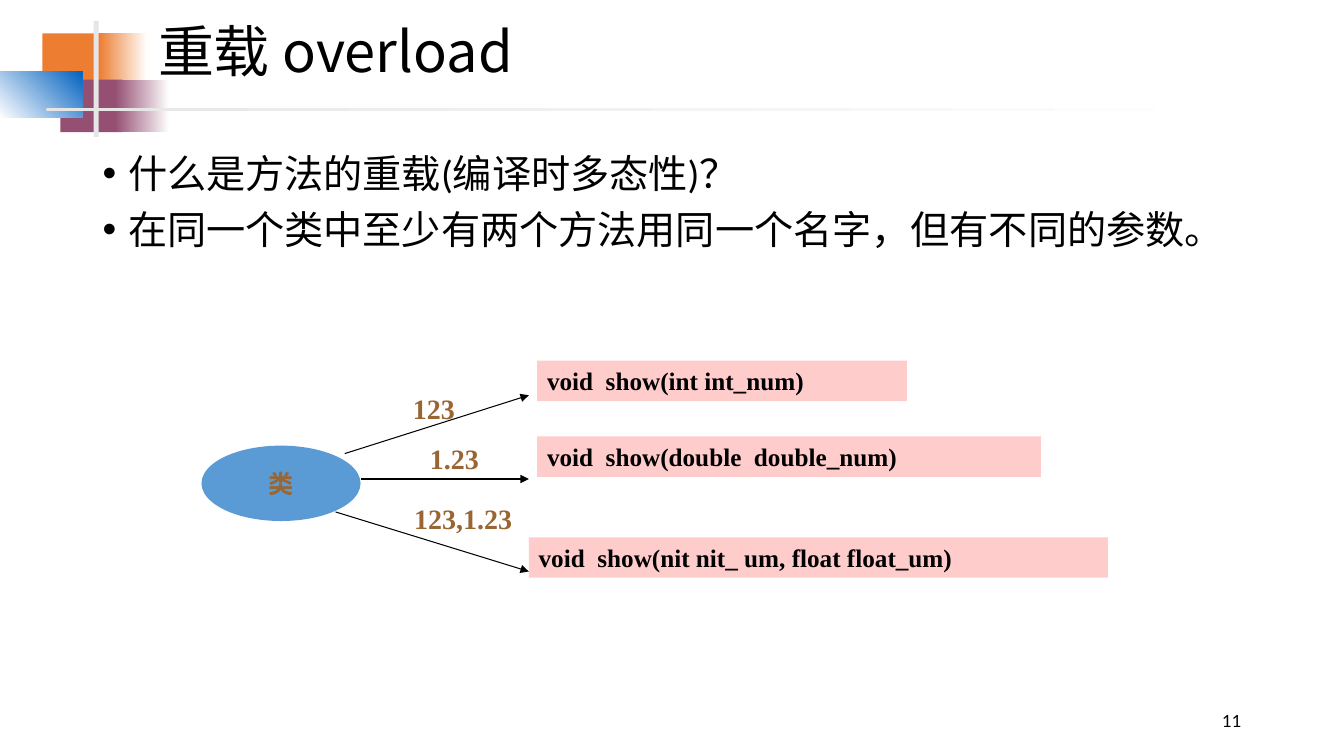
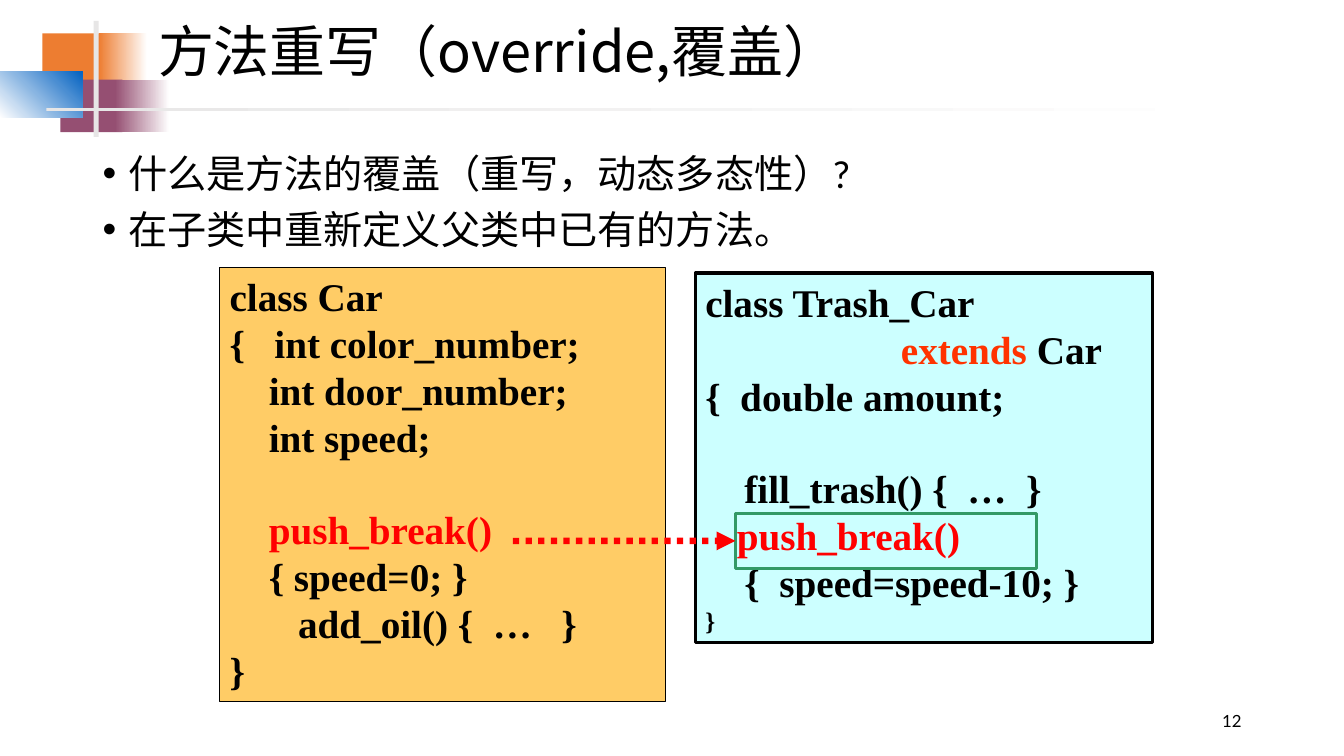
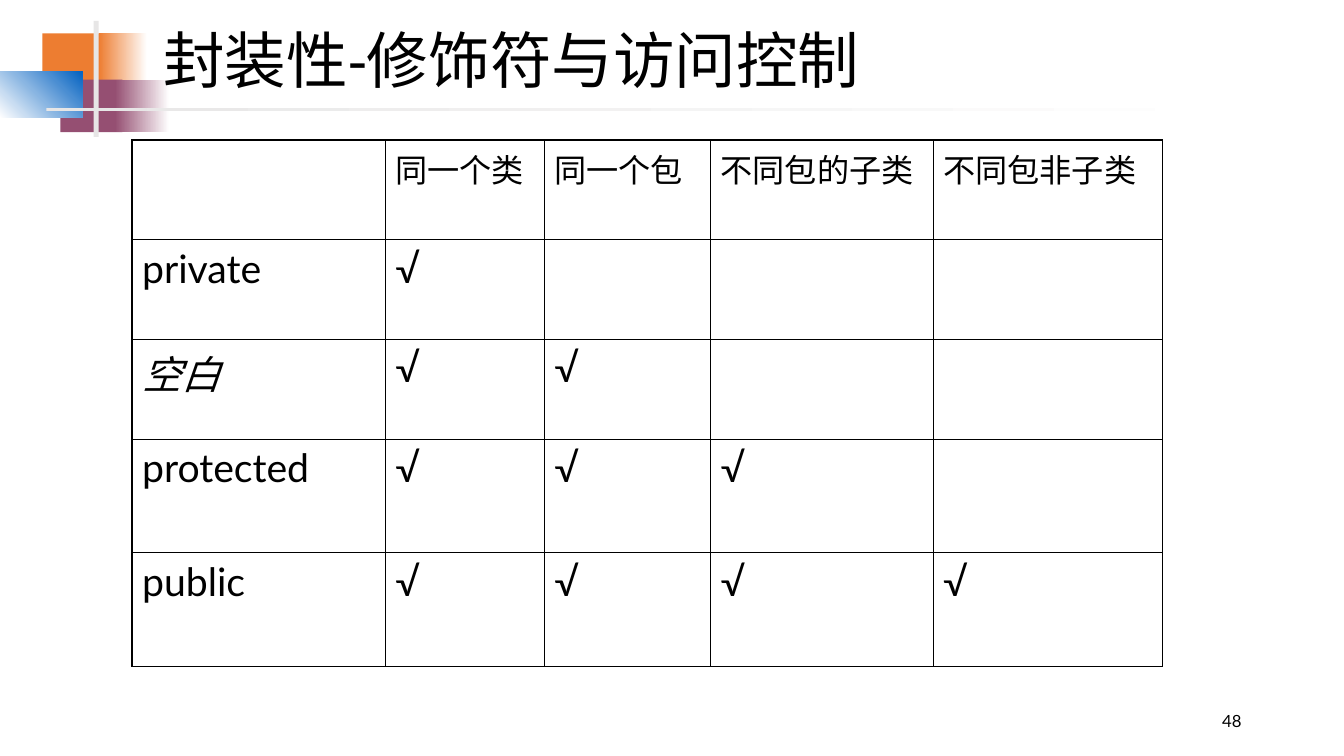
from dataclasses import dataclass
from typing import Optional

from lxml.etree import SubElement
from pptx import Presentation
from pptx.dml.color import RGBColor
from pptx.enum.dml import MSO_LINE
from pptx.enum.shapes import MSO_CONNECTOR, MSO_SHAPE
from pptx.enum.text import MSO_ANCHOR, MSO_AUTO_SIZE, PP_ALIGN
from pptx.oxml import parse_xml
from pptx.oxml.ns import nsdecls, qn
from pptx.util import Cm, Pt

HEX = {
    "black": "000000", "white": "FFFFFF", "orange": "ED7D31", "plum": "954F72",
    "navy": "0563C1", "grey": "E7E6E6", "blue": "5B9BD5", "brown": "996633",
    "pink": "FFCCCC", "sand": "FFCC66", "ice": "CCFFFF", "red": "FF0000",
    "flame": "FF3300", "green": "339966",
}
SERIF, SANS, LATO, CJK = "Times New Roman", "Calibri", "Lato", "Noto Sans CJK JP"


@dataclass
class Box:
    x: float
    y: float
    w: float
    h: float

    def cm(self) -> tuple:
        return Cm(self.x), Cm(self.y), Cm(self.w), Cm(self.h)


@dataclass
class Band:
    box: Box
    fill: str
    to: Optional[str] = None
    angle: float = 0


@dataclass
class Style:
    face: str
    size: float
    color: str = "black"
    bold: bool = False
    slant: bool = False


@dataclass
class Bit:
    text: str
    color: Optional[str] = None
    size: Optional[float] = None


@dataclass
class Line:
    bits: list
    size: float = 28
    gap: float = 0


@dataclass
class Call:
    """An overload: its signature bar, argument label and arrow."""
    sign: str
    bar: Box
    arg: str
    tag: Box
    start: tuple
    end: tuple


BANDS = [
    Band(Box(1.07, 0.84, 1.63, 1.32), "orange"),
    Band(Box(2.49, 0.84, 1.22, 1.32), "orange", "white"),
    Band(Box(1.52, 2.01, 1.57, 1.32), "plum"),
    Band(Box(2.9, 2.01, 1.37, 1.32), "plum", "white"),
    Band(Box(0, 1.8, 2.08, 1.17), "white", "navy", 45),
    Band(Box(2.36, 0.53, 0.13, 2.92), "grey"),
    Band(Box(1.17, 2.72, 30.48, 0.09), "grey", "white"),
]
HEAD = Box(3.73, 0, 27.81, 2.72)
BODY = Box(2.34, 3.76, 29.21, 13.41)
PAGE = Box(23.93, 17.65, 7.62, 1.02)

CALLS = [
    Call("void  show(int int_num)", Box(13.54, 9.09, 9.32, 1.02),
         "123", Box(10.16, 9.73, 1.55, 1.12), (8.69, 11.43), (13.33, 9.96)),
    Call("void  show(double  double_num)", Box(13.54, 11, 12.7, 1.02),
         "1.23", Box(10.59, 11, 1.73, 1.12), (9.09, 12.07), (13.33, 12.07)),
    Call("void  show(nit nit_ um, float float_um)", Box(13.33, 13.54, 14.6, 1.02),
         "123,1.23", Box(10.19, 12.5, 2.97, 1.12), (8.46, 12.9), (13.33, 14.4)),
]

BLANK = 32.2  # height of one empty code line
CAR = [
    Line([Bit("class Car")]),
    Line([Bit("{   int color_number;")]),
    Line([Bit("    int door_number;")]),
    Line([Bit("    int speed;")]),
    Line([Bit("    "), Bit("push_break()", "red")], gap=BLANK),
    Line([Bit("    { speed=0; }")]),
    Line([Bit("       add_oil() {  …   }")]),
    Line([Bit("}")]),
]
TRASH = [
    Line([Bit("class Trash_Car")]),
    Line([Bit("                   "), Bit(" extends ", "flame"), Bit("Car")]),
    Line([Bit("{  double amount;")]),
    Line([Bit("    fill_trash() {  …  }")], gap=BLANK),
    Line([Bit("     ", size=18), Bit("push_break()", "red")]),
    Line([Bit("    {  speed=speed-10; }")]),
    Line([Bit("}")], size=18),
]

COLS = [6.38, 4.01, 4.19, 5.61, 5.79]
ROWS = [2.51] * 3 + [2.87] * 2
SCOPES = ["同一个类", "同一个包", "不同包的子类", "不同包非子类"]
ACCESS = ["private", "空白", "protected", "public"]


def rgb(name: str) -> RGBColor:
    return RGBColor.from_string(HEX[name])


def ink(para, style: Style) -> None:
    font = para.font
    font.name, font.size = style.face, Pt(style.size)
    font.bold, font.italic = style.bold, style.slant
    font.color.rgb = rgb(style.color)


def add_rect(slide, box: Box, fill: Optional[str] = None, edge: Optional[str] = None,
             width: float = 0.75, kind=MSO_SHAPE.RECTANGLE):
    shape = slide.shapes.add_shape(kind, *box.cm())
    shape.shadow.inherit = False
    if fill:
        shape.fill.solid()
        shape.fill.fore_color.rgb = rgb(fill)
    else:
        shape.fill.background()
    if edge:
        shape.line.color.rgb = rgb(edge)
        shape.line.width = Pt(width)
    else:
        shape.line.fill.background()
    return shape


def put_text(shape, text: str, style: Style, align=PP_ALIGN.LEFT,
             anchor=MSO_ANCHOR.TOP, wrap: bool = True) -> None:
    frame = shape.text_frame
    frame.auto_size = MSO_AUTO_SIZE.NONE
    frame.word_wrap, frame.vertical_anchor = wrap, anchor
    para = frame.paragraphs[0]
    para.text, para.alignment = text, align
    ink(para, style)


def add_arrow(slide, start: tuple, end: tuple, color: str = "black", width: float = 0.75):
    points = [Cm(v) for v in start + end]
    arrow = slide.shapes.add_connector(MSO_CONNECTOR.STRAIGHT, *points)
    arrow.line.color.rgb = rgb(color)
    arrow.line.width = Pt(width)
    SubElement(arrow.line._get_or_add_ln(), qn("a:tailEnd"), type="triangle")
    SubElement(arrow.element.spPr, qn("a:effectLst"))
    return arrow


def add_bands(slide) -> None:
    """Draw the shared bands, then move them behind the layout's placeholders."""
    tree = slide.slide_layout.shapes.element
    for i, band in enumerate(BANDS):
        shape = add_rect(slide, band.box, band.fill)
        if band.to:
            shape.fill.gradient()
            shape.fill.gradient_angle = band.angle
            for stop, color in zip(shape.fill.gradient_stops, (band.fill, band.to)):
                stop.color.rgb = rgb(color)
        tree.insert(2 + i, shape.element)


def add_slide(deck, title: str, page: int, box: Box = HEAD, style: Style = Style(CJK, 40)):
    slide = deck.slides.add_slide(deck.slide_layouts[5])
    head = slide.shapes.title
    head.left, head.top, head.width, head.height = box.cm()
    put_text(head, title, style, anchor=MSO_ANCHOR.MIDDLE)
    head.text_frame.paragraphs[0].line_spacing = 0.9
    foot = slide.shapes.add_textbox(*PAGE.cm())
    put_text(foot, str(page), Style(LATO, 12), PP_ALIGN.RIGHT, MSO_ANCHOR.MIDDLE)
    return slide


def add_points(slide, points: list) -> None:
    frame = slide.shapes.add_textbox(*BODY.cm()).text_frame
    frame.word_wrap = True
    for i, point in enumerate(points):
        para = frame.add_paragraph() if i else frame.paragraphs[0]
        para.text, para.line_spacing = point, 0.9
        if i:
            para.space_before = Pt(10)
        props = para._p.get_or_add_pPr()
        props.set("marL", str(Cm(0.64)))
        props.set("indent", str(-Cm(0.64)))
        SubElement(props, qn("a:buFont"), typeface="Arial")
        SubElement(props, qn("a:buChar"), char="•")
        ink(para, Style(SANS, 28))


def add_code(slide, box: Box, fill: str, width: float, lines: list) -> None:
    frame = add_rect(slide, box, fill, "black", width).text_frame
    frame.word_wrap, frame.vertical_anchor = True, MSO_ANCHOR.TOP
    for i, line in enumerate(lines):
        para = frame.add_paragraph() if i else frame.paragraphs[0]
        para.alignment = PP_ALIGN.LEFT
        if line.gap:
            para.space_before = Pt(line.gap)
        ink(para, Style(SERIF, line.size, bold=True))
        for bit in line.bits:
            run = para.add_run()
            run.text = bit.text
            if bit.color:
                run.font.color.rgb = rgb(bit.color)
            if bit.size:
                run.font.size = Pt(bit.size)


def set_edges(cell, row: int, col: int) -> None:
    """Thick lines round the table, thin lines inside."""
    outer = {"L": col == 0, "R": col == len(COLS) - 1,
             "T": row == 0, "B": row == len(ROWS) - 1}
    props = cell._tc.get_or_add_tcPr()
    for i, (side, thick) in enumerate(outer.items()):
        width = Pt(1.08 if thick else 0.45)
        props.insert(i, parse_xml(
            f'<a:ln{side} {nsdecls("a")} w="{width}"><a:solidFill>'
            f'<a:srgbClr val="{HEX["black"]}"/></a:solidFill></a:ln{side}>'))


def add_grid(slide) -> None:
    box = Box(3.33, 3.53, sum(COLS), sum(ROWS))
    table = slide.shapes.add_table(len(ROWS), len(COLS), *box.cm()).table
    table.first_row = table.horz_banding = False
    for col, width in zip(table.columns, COLS):
        col.width = Cm(width)
    for row, height in zip(table.rows, ROWS):
        row.height = Cm(height)
    # Each level of access reaches one scope further
    cells = [[""] + SCOPES]
    for i, name in enumerate(ACCESS, 1):
        cells.append([name] + ["√"] * i + [""] * (len(SCOPES) - i))
    for r, texts in enumerate(cells):
        for c, text in enumerate(texts):
            cell = table.cell(r, c)
            cell.fill.background()
            set_edges(cell, r, c)
            if text:
                para = cell.text_frame.paragraphs[0]
                para.text = text
                ink(para, Style(LATO, 28 if r else 23, slant=text == "空白"))


def show_load(deck) -> None:
    slide = add_slide(deck, "重载 overload", 11)
    add_bands(slide)
    add_points(slide, ["什么是方法的重载(编译时多态性)？",
                       "在同一个类中至少有两个方法用同一个名字，但有不同的参数。"])
    oval = add_rect(slide, Box(5.08, 11.23, 4.01, 1.9), "blue", kind=MSO_SHAPE.OVAL)
    put_text(oval, "类", Style(SERIF, 18, "brown", True), PP_ALIGN.CENTER,
             MSO_ANCHOR.MIDDLE, False)
    for call in CALLS:
        bar = add_rect(slide, call.bar, "pink")
        put_text(bar, call.sign, Style(SERIF, 18, bold=True))
        add_arrow(slide, call.start, call.end)
        tag = slide.shapes.add_textbox(*call.tag.cm())
        put_text(tag, call.arg, Style(SERIF, 20, "brown", True), wrap=False)


def show_ride(deck) -> None:
    slide = add_slide(deck, "方法重写（override,覆盖）", 12)
    add_points(slide, ["什么是方法的覆盖（重写，动态多态性）?",
                       "在子类中重新定义父类中已有的方法。"])
    add_code(slide, Box(5.54, 6.73, 11.23, 10.95), "sand", 0.75, CAR)
    add_code(slide, Box(17.53, 6.88, 11.53, 9.32), "ice", 2.25, TRASH)
    # Dotted arrow to the framed method
    box = Box(18.54, 12.93, 7.59, 1.4)
    mid = box.y + box.h / 2
    frame = add_rect(slide, box, edge="green", width=2.25)
    arrow = add_arrow(slide, (12.93, mid), (box.x, mid), "red", 4.5)
    arrow.line.dash_style = MSO_LINE.ROUND_DOT
    arrow.end_connect(frame, 1)


def show_access(deck) -> None:
    slide = add_slide(deck, "封装性-修饰符与访问控制", 48,
                      Box(3.86, 0.53, 28.85, 2.13), Style(SANS, 44))
    add_grid(slide)


def main() -> None:
    deck = Presentation()
    deck.slide_width, deck.slide_height = Cm(33.88), Cm(19.05)
    show_load(deck)
    show_ride(deck)
    show_access(deck)
    deck.save("out.pptx")


if __name__ == "__main__":
    main()
